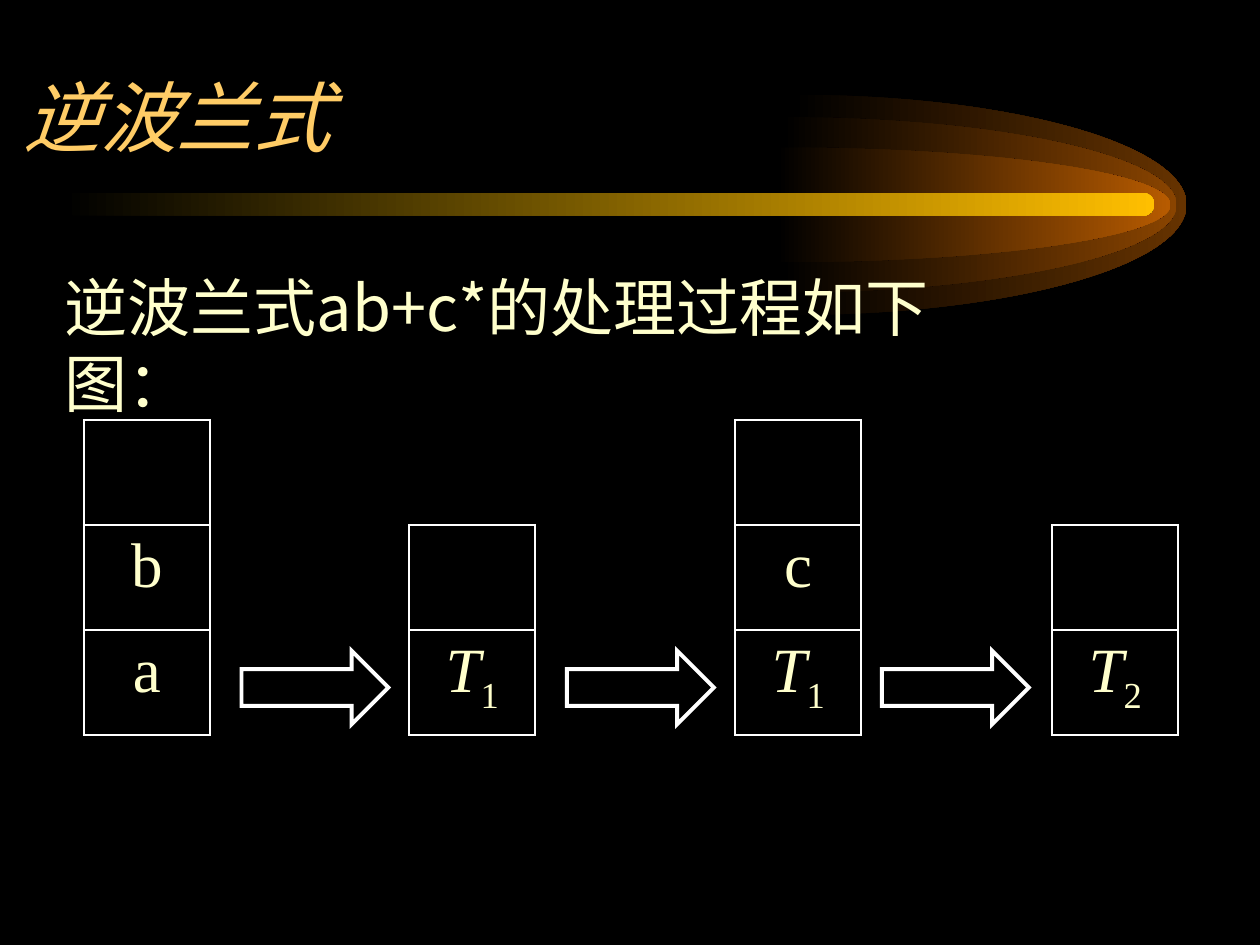
"""Build a slide on evaluating a reverse Polish expression with a stack."""
from dataclasses import dataclass

from lxml import etree
from pptx import Presentation
from pptx.dml.color import RGBColor
from pptx.enum import shapes, text
from pptx.oxml import ns
from pptx.util import Cm, Pt

BLACK = RGBColor(0, 0, 0)
WHITE = RGBColor(255, 255, 255)
CREAM = RGBColor(0xFF, 0xFF, 0xCC)
AMBER = RGBColor(0xFF, 0xCC, 0x66)
GOLD = RGBColor(0xFF, 0xBF, 0x00)
SERIF = "Times New Roman"
SANS = "Noto Sans CJK SC"
CELL_W, CELL_H = 2.54, 2.12
BASE = 14.82
GLOW_W = 7.95
AXIS = 4.13
BEND = 0.55


@dataclass
class Glow:
    left: float
    half: float
    color: RGBColor


@dataclass
class Stack:
    left: float
    items: tuple[str, ...]


GLOWS = [
    Glow(15.97, 2.22, RGBColor(0x66, 0x33, 0x00)),
    Glow(15.77, 1.77, RGBColor(0x89, 0x44, 0x00)),
    Glow(15.65, 1.16, RGBColor(0xB7, 0x5B, 0x00)),
]
STACKS = [
    Stack(1.69, ("", "b", "a")),
    Stack(8.25, ("", "T1")),
    Stack(14.82, ("", "c", "T1")),
    Stack(21.21, ("", "T2")),
]
ARROWS = [4.87, 11.43, 17.78]


def write(para, words: str, size=36, font=SERIF, color=CREAM,
          italic=False, sub=False) -> None:
    run = para.add_run()
    run.text = words
    run.font.size = Pt(size)
    run.font.name = font
    run.font.italic = italic
    run.font.color.rgb = color
    props = run._r.get_or_add_rPr()
    etree.SubElement(props, ns.qn("a:ea"), typeface=SANS)
    if sub:
        props.set("baseline", "-25000")


def fade(shape, color: RGBColor) -> None:
    shape.shadow.inherit = False
    shape.line.fill.background()
    shape.fill.gradient()
    shape.fill.gradient_angle = 0
    for stop, tone in zip(shape.fill.gradient_stops, (BLACK, color)):
        stop.color.rgb = tone


def curve(shape) -> None:
    lines = list(shape._element.iter(ns.qn("a:lnTo")))
    for first in range(0, len(lines), 3):
        bend = etree.Element(ns.qn("a:cubicBezTo"))
        lines[first].addprevious(bend)
        for line in lines[first:first + 3]:
            bend.append(line[0])
            line.getparent().remove(line)


def draw_glow(slide, glow: Glow) -> None:
    marks = [(0, -1), (BEND, -1), (1, -BEND), (1, 0),
             (1, BEND), (BEND, 1), (0, 1)]
    points = [(Cm(glow.left + GLOW_W * x), Cm(AXIS + glow.half * y))
              for x, y in marks]
    pen = slide.shapes.build_freeform(*points[0])
    pen.add_line_segments(points[1:], close=True)
    shape = pen.convert_to_shape()
    curve(shape)
    fade(shape, glow.color)


def edge(cell) -> None:
    props = cell._tc.get_or_add_tcPr()
    for spot, side in enumerate(("lnL", "lnR", "lnT", "lnB")):
        line = etree.Element(ns.qn(f"a:{side}"), w=str(Pt(1.08)))
        fill = etree.SubElement(line, ns.qn("a:solidFill"))
        etree.SubElement(fill, ns.qn("a:srgbClr"), val=str(WHITE))
        props.insert(spot, line)


def draw_stack(slide, stack: Stack) -> None:
    count = len(stack.items)
    high = count * CELL_H
    table = slide.shapes.add_table(count, 1, Cm(stack.left), Cm(BASE - high),
                                   Cm(CELL_W), Cm(high)).table
    table.first_row = table.horz_banding = False
    for row, item in enumerate(stack.items):
        cell = table.cell(row, 0)
        cell.fill.background()
        edge(cell)
        para = cell.text_frame.paragraphs[0]
        if item:
            para.alignment = text.PP_ALIGN.CENTER
            write(para, item[0], italic=item[0] == "T")
        if item[1:]:
            write(para, item[1:], sub=True)


def draw_arrow(slide, left: float) -> None:
    arrow = slide.shapes.add_shape(shapes.MSO_SHAPE.RIGHT_ARROW, Cm(left),
                                   Cm(13.12), Cm(2.96), Cm(1.48))
    arrow.shadow.inherit = False
    arrow.fill.background()
    arrow.line.color.rgb = WHITE
    arrow.line.width = Pt(2.25)
    etree.SubElement(arrow.line._get_or_add_ln(), ns.qn("a:miter"),
                     lim="800000")


def main() -> None:
    deck = Presentation()
    deck.slide_width, deck.slide_height = Cm(25.4), Cm(19.05)
    slide = deck.slides.add_slide(deck.slide_layouts[5])
    slide.background.fill.solid()
    slide.background.fill.fore_color.rgb = BLACK

    for glow in GLOWS:
        draw_glow(slide, glow)
    beam = slide.shapes.add_shape(shapes.MSO_SHAPE.ROUNDED_RECTANGLE, Cm(1.27),
                                  Cm(3.89), Cm(22), Cm(0.46))
    beam.adjustments[0] = 0.5
    fade(beam, GOLD)

    title = slide.shapes.title
    beam._element.addnext(title._element)
    title.left, title.top = Cm(0.21), Cm(0.21)
    title.width, title.height = Cm(25.19), Cm(3.18)
    frame = title.text_frame
    frame.auto_size = text.MSO_AUTO_SIZE.NONE
    frame.vertical_anchor = text.MSO_ANCHOR.BOTTOM
    frame.paragraphs[0].alignment = text.PP_ALIGN.LEFT
    write(frame.paragraphs[0], "逆波兰式", size=44, color=AMBER, italic=True)

    box = slide.shapes.add_textbox(Cm(1.06), Cm(5.29), Cm(19.05), Cm(3.3))
    box.text_frame.word_wrap = True
    box.text_frame.auto_size = text.MSO_AUTO_SIZE.SHAPE_TO_FIT_TEXT
    write(box.text_frame.paragraphs[0], "逆波兰式ab+c*的处理过程如下图：",
          font=SANS)

    for stack in STACKS:
        draw_stack(slide, stack)
    for left in ARROWS:
        draw_arrow(slide, left)
    deck.save("out.pptx")


if __name__ == "__main__":
    main()
